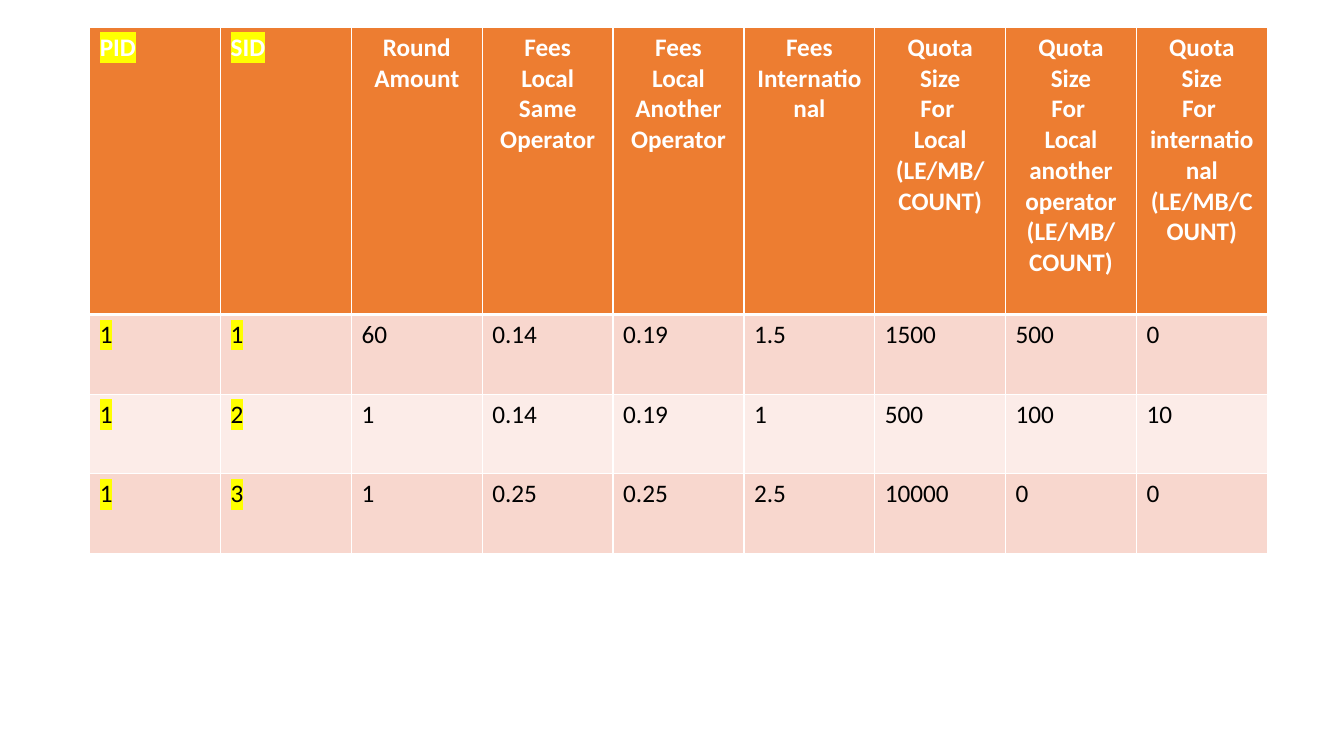
from lxml import etree
from pptx import Presentation
from pptx.dml.color import RGBColor
from pptx.enum.text import PP_ALIGN
from pptx.oxml.ns import qn
from pptx.util import Inches, Pt

CENTER, LEFT = PP_ALIGN.CENTER, PP_ALIGN.LEFT
BLANK_LAYOUT = 6
THEME = {
    "font": "Calibri", "size": Pt(18),
    "header_fill": "ED7D31", "header_text": "FFFFFF",
    "bands": ("F8D7CE", "FCECE8"), "body_text": "000000",
    "highlight": "FFFF00", "border": "FFFFFF",
}
HEADERS = [
    "PID", "SID", "Round\nAmount",
    "Fees\nLocal\nSame Operator", "Fees\nLocal\nAnother Operator",
    "Fees\nInternational",
    "Quota\nSize\nFor \nLocal\n(LE/MB/COUNT)",
    "Quota\nSize\nFor \nLocal another\noperator\n(LE/MB/COUNT)",
    "Quota\nSize\nFor \ninternational (LE/MB/COUNT)",
]
ROWS = [
    HEADERS,
    ["1", "1", "60", "0.14", "0.19", "1.5", "1500", "500", "0"],
    ["1", "2", "1", "0.14", "0.19", "1", "500", "100", "10"],
    ["1", "3", "1", "0.25", "0.25", "2.5", "10000", "0", "0"],
]
KEY_COLUMNS = 2
HEADER_HEIGHT, ROW_HEIGHT = 2.85, 0.79


def add_color(parent, tag, color):
    """Append a colour-holding element to parent and return it."""
    holder = etree.SubElement(parent, qn(tag))
    etree.SubElement(holder, qn("a:srgbClr")).set("val", color)
    return holder


def set_borders(cell, widths):
    """Draw the cell borders, given their widths in points by side."""
    tcPr = cell._tc.get_or_add_tcPr()
    for i, (side, width) in enumerate(widths.items()):
        line = etree.Element(qn(f"a:ln{side}"), w=str(Pt(width)))
        add_color(line, "a:solidFill", THEME["border"])
        tcPr.insert(i, line)


prs = Presentation()
prs.slide_width, prs.slide_height = Inches(13.33), Inches(7.5)
s = prs.slides.add_slide(prs.slide_layouts[BLANK_LAYOUT])

table_height = HEADER_HEIGHT + ROW_HEIGHT * (len(ROWS) - 1)
table = s.shapes.add_table(len(ROWS), len(HEADERS), Inches(0.89), Inches(0.27),
                           Inches(11.68), Inches(table_height)).table
for r, row in enumerate(table.rows):
    row.height = Inches(ROW_HEIGHT if r else HEADER_HEIGHT)

for r, values in enumerate(ROWS):
    is_header = r == 0
    fill = THEME["header_fill"] if is_header else THEME["bands"][(r - 1) % 2]
    color = THEME["header_text"] if is_header else THEME["body_text"]
    text_format = {"name": THEME["font"], "size": THEME["size"], "bold": is_header}
    widths = {"L": 1, "R": 1, "T": 3 if r == 1 else 1, "B": 3 if is_header else 1}
    for c, text in enumerate(values):
        is_key = c < KEY_COLUMNS
        cell = table.cell(r, c)
        cell.fill.solid()
        cell.fill.fore_color.rgb = RGBColor.from_string(fill)
        set_borders(cell, widths)
        cell.text_frame.text = text
        for p in cell.text_frame.paragraphs:
            p.alignment = CENTER if is_header and not is_key else LEFT
            font = p.runs[0].font
            for key, value in text_format.items():
                setattr(font, key, value)
            font.color.rgb = RGBColor.from_string(color)
            if is_key:
                rPr = p.runs[0]._r.get_or_add_rPr()
                mark = add_color(rPr, "a:highlight", THEME["highlight"])
                rPr.find(qn("a:solidFill")).addnext(mark)

prs.save("out.pptx")
